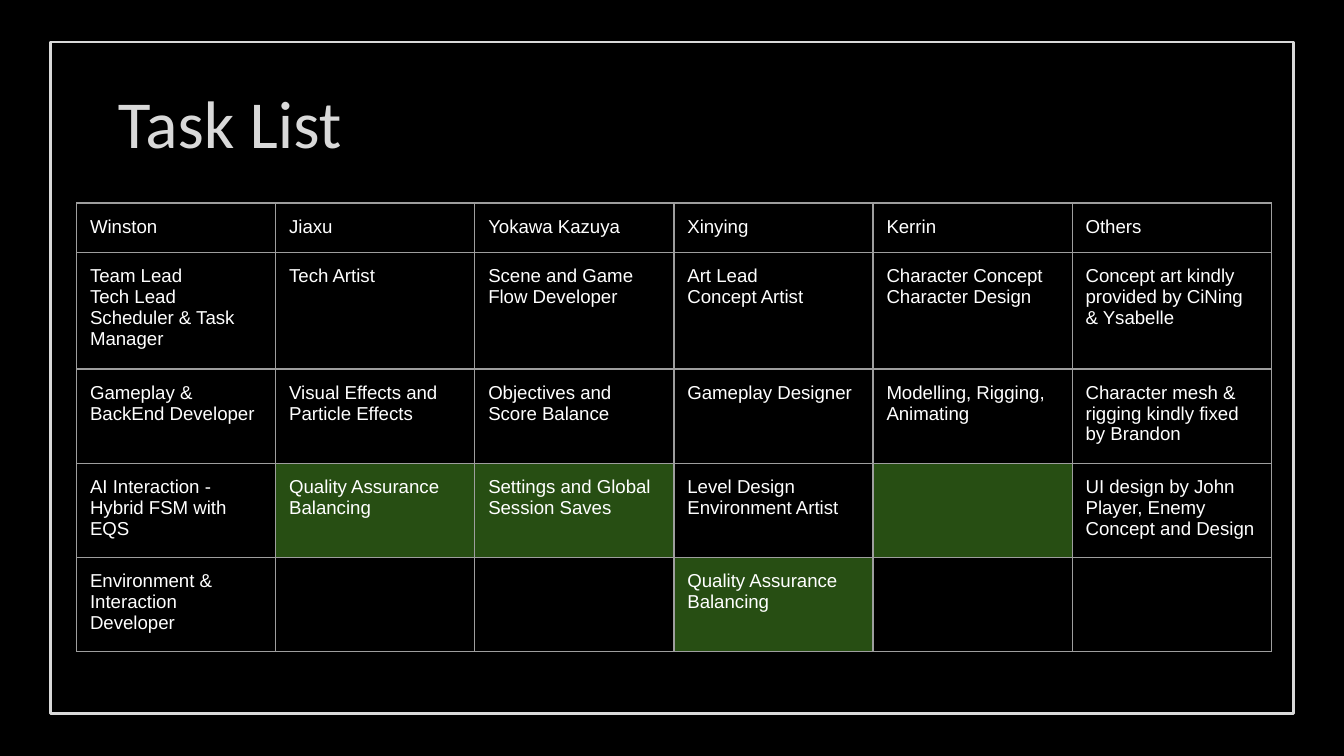
from copy import deepcopy

from pptx import Presentation
from pptx.dml.color import RGBColor
from pptx.enum import shapes, text
from pptx.oxml import parse_xml
from pptx.oxml.ns import nsdecls
from pptx.util import Inches, Pt

COLORS = {
    "back": "000000",
    "light": "D9D9D9",
    "white": "FFFFFF",
    "grid": "9E9E9E",
    "green": "274E13",
}
WIDE = Inches(10)
HIGH = WIDE * 9 // 16
INSET = 0.1

# One list per row; \n starts a new paragraph, \v breaks a line
TASKS = [
    ["Winston", "Jiaxu", "Yokawa Kazuya", "Xinying", "Kerrin", "Others"],
    ["Team Lead\nTech Lead\nScheduler & Task Manager", "Tech Artist",
     "Scene and Game Flow Developer", "Art Lead\nConcept Artist",
     "Character Concept\nCharacter Design",
     "Concept art kindly provided by CiNing & Ysabelle"],
    ["Gameplay & BackEnd Developer", "Visual Effects and Particle Effects",
     "Objectives and Score Balance", "Gameplay Designer",
     "Modelling, Rigging, Animating",
     "Character mesh & rigging kindly fixed by Brandon"],
    ["AI Interaction - Hybrid FSM with EQS", "Quality Assurance\nBalancing",
     "Settings and Global Session Saves", "Level Design\nEnvironment Artist",
     "", "UI design by John\vPlayer, Enemy Concept and Design"],
    ["Environment & Interaction Developer", "", "",
     "Quality Assurance\nBalancing", "", ""],
]
# Least heights: rows grow to fit their text
HEIGHTS = [0.31, 0.72, 0.39, 0.19, 0.31]
GREEN = {(3, 1), (3, 2), (3, 4), (4, 3)}


def color(name):
    return RGBColor.from_string(COLORS[name])


def write(frame, words, font="Arial", size=10, ink="white"):
    if not words:
        return
    for i, line in enumerate(words.split("\n")):
        para = frame.paragraphs[0] if i == 0 else frame.add_paragraph()
        for j, piece in enumerate(line.split("\v")):
            if j:
                # The break takes the format of the run before it
                para.add_line_break()
                para._p[-1].append(deepcopy(run._r.rPr))
            run = para.add_run()
            run.text = piece
            run.font.name = font
            run.font.size = Pt(size)
            run.font.color.rgb = color(ink)


def pad(part):
    part.margin_left = part.margin_right = Inches(INSET)
    part.margin_top = part.margin_bottom = Inches(INSET)


def add_frame(slide, w, h):
    # Centred on the slide
    w, h = Inches(w), Inches(h)
    box = slide.shapes.add_shape(shapes.MSO_SHAPE.RECTANGLE,
                                 (WIDE - w) // 2, (HIGH - h) // 2, w, h)
    box.shadow.inherit = False
    box.fill.background()
    box.line.color.rgb = color("light")
    box.line.width = Pt(1.5)


def add_title(slide, x, y, w, h):
    box = slide.shapes.add_textbox(Inches(x), Inches(y), Inches(w), Inches(h))
    frame = box.text_frame
    frame.word_wrap = True
    frame.vertical_anchor = text.MSO_ANCHOR.MIDDLE
    pad(frame)
    write(frame, "Task List", font="Calibri", size=36, ink="light")


def add_edges(cell):
    props = cell._tc.get_or_add_tcPr()
    for i, side in enumerate(("lnL", "lnR", "lnT", "lnB")):
        # Borders must come before the cell fill
        props.insert(i, parse_xml(
            f'<a:{side} {nsdecls("a")} w="{Pt(0.75)}"><a:solidFill>'
            f'<a:srgbClr val="{COLORS["grid"]}"/></a:solidFill></a:{side}>'))


def add_tasks(slide, x, y, w):
    count = len(TASKS[0])
    table = slide.shapes.add_table(
        len(TASKS), count, Inches(x), Inches(y),
        Inches(w), Inches(sum(HEIGHTS))).table
    table.first_row = table.horz_banding = False
    for col in table.columns:
        col.width = Inches(w / count)
    for r, row in enumerate(TASKS):
        table.rows[r].height = Inches(HEIGHTS[r])
        for c, words in enumerate(row):
            cell = table.cell(r, c)
            pad(cell)
            if (r, c) in GREEN:
                cell.fill.solid()
                cell.fill.fore_color.rgb = color("green")
            else:
                cell.fill.background()
            add_edges(cell)
            write(cell.text_frame, words)


def main():
    deck = Presentation()
    deck.slide_width, deck.slide_height = WIDE, HIGH
    slide = deck.slides.add_slide(deck.slide_layouts[6])
    slide.background.fill.solid()
    slide.background.fill.fore_color.rgb = color("back")

    add_frame(slide, 9.25, 5)
    add_title(slide, 0.78, 0.59, 8.44, 0.63)
    add_tasks(slide, 0.57, 1.51, 8.89)
    deck.save("out.pptx")


if __name__ == "__main__":
    main()
